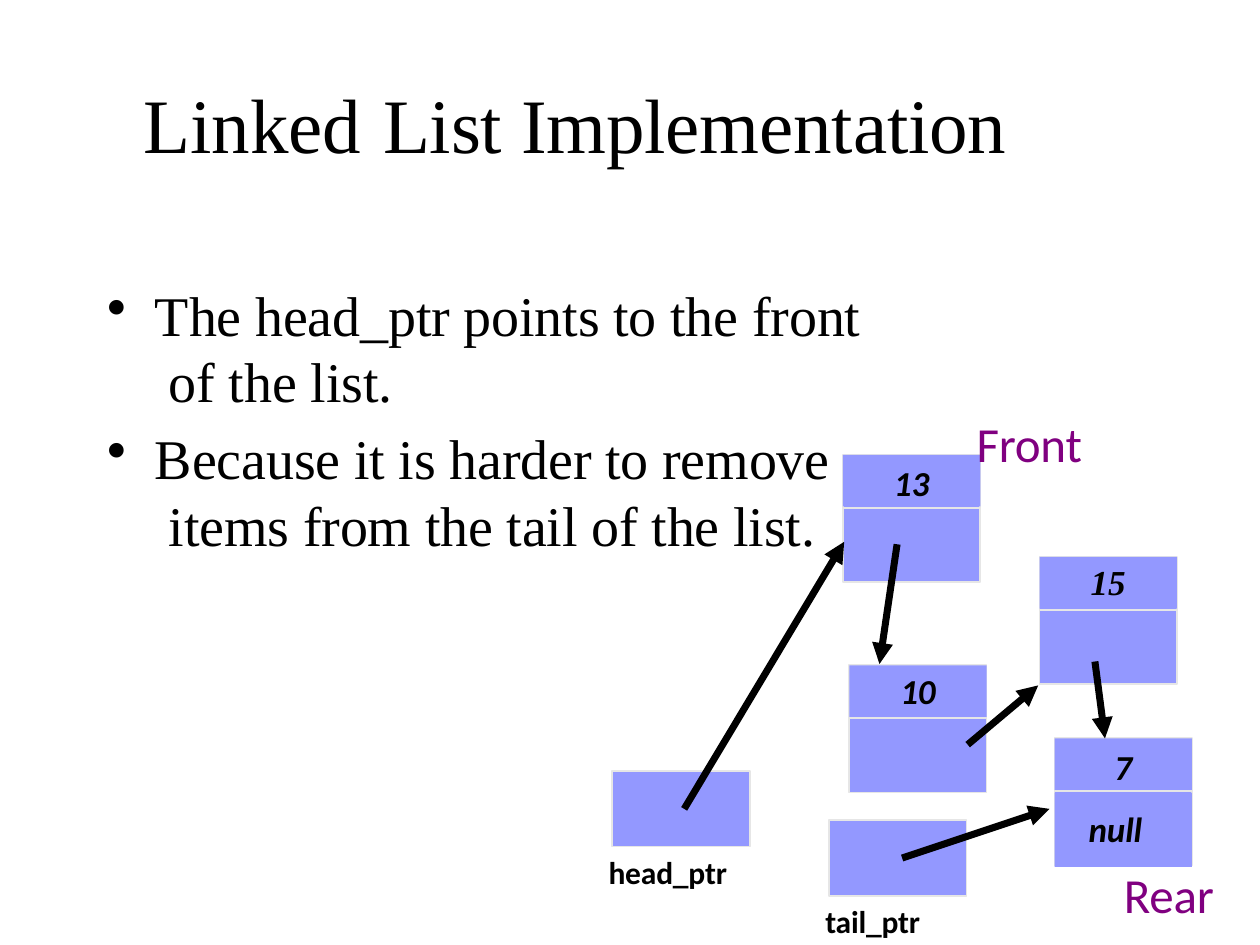
from dataclasses import dataclass

from lxml.etree import SubElement
from pptx import Presentation
from pptx.dml.color import RGBColor as RGB
from pptx.enum.shapes import MSO_CONNECTOR as Link, MSO_SHAPE as Form
from pptx.enum.text import MSO_ANCHOR as Anchor, PP_ALIGN as Align
from pptx.oxml.ns import qn
from pptx.util import Inches, Pt

COLS, ROWS = 100, 75
WIDE, TALL = Inches(10), Inches(7.5)
NODE_W, NODE_H, HEAD_H, CELL_H = 10.9, 10.1, 4.1, 5.9


@dataclass(frozen=True)
class Theme:
    """Colours, fonts and type sizes of the slide."""
    ink: RGB = RGB(0, 0, 0)
    box: RGB = RGB(0x93, 0x98, 0xFF)
    edge: RGB = RGB(0xE6, 0xE6, 0xE6)
    end: RGB = RGB(0x80, 0x00, 0x80)
    serif: str = "Times New Roman"
    sans: str = "Calibri"
    title: int = 44
    body: int = 32
    mark: int = 28
    value: int = 20
    name: int = 18


LOOK = Theme()


def col(n):
    """Return the length of n grid columns."""
    return round(WIDE * n / COLS)


def row(n):
    """Return the length of n grid rows."""
    return round(TALL * n / ROWS)


def area(x, y, w, h):
    """Return a grid area as lengths."""
    return col(x), row(y), col(w), row(h)


def frame(shape, pad=0.1, wrap=False):
    """Clear the margins of a shape and return its text frame."""
    tf = shape.text_frame
    tf.margin_left = tf.margin_right = tf.margin_bottom = 0
    tf.margin_top = row(pad)
    tf.vertical_anchor = Anchor.TOP
    tf.word_wrap = wrap
    return tf


def write(para, text, size, face, hue=LOOK.ink, bold=False, slant=False):
    """Add one formatted run to a paragraph."""
    run = para.add_run()
    run.text = text
    font = run.font
    font.size, font.name = Pt(size), face
    font.bold, font.italic = bold, slant
    font.color.rgb = hue
    run._r.get_or_add_rPr().set("spc", "-10")


def head(slide, text):
    """Place and fill the title, with a stop at each tab."""
    shape = slide.shapes.title
    shape.left, shape.top, shape.width, shape.height = area(11.4, 6, 68.8, 7.6)
    para = frame(shape).paragraphs[0]
    para.alignment = Align.LEFT
    stops = SubElement(para._p.get_or_add_pPr(), qn("a:tabLst"))
    SubElement(stops, qn("a:tab"), pos=str(col(19)), algn="l")
    write(para, text, LOOK.title, LOOK.serif)


def bullet(slide, place, lines, pad):
    """Add a bulleted paragraph broken into the given lines."""
    box = slide.shapes.add_textbox(*area(*place))
    para = frame(box, pad, True).paragraphs[0]
    props = para._p.get_or_add_pPr()
    props.set("marL", str(col(3.9)))
    props.set("indent", str(-col(3.8)))
    SubElement(props, qn("a:buChar"), char="•")
    para.line_spacing = Pt(38)
    for i, line in enumerate(lines):
        if i:
            para.add_line_break()
        write(para, line, LOOK.body, LOOK.serif)


def label(slide, place, text, size, hue=LOOK.ink, bold=False):
    """Add a one-line label."""
    box = slide.shapes.add_textbox(*area(*place))
    write(frame(box).paragraphs[0], text, size, LOOK.sans, hue, bold)


def block(slide, place, edged=True):
    """Add a filled rectangle, with or without an edge."""
    shape = slide.shapes.add_shape(Form.RECTANGLE, *area(*place))
    shape.shadow.inherit = False
    shape.fill.solid()
    shape.fill.fore_color.rgb = LOOK.box
    if edged:
        shape.line.color.rgb = LOOK.edge
        shape.line.width = Pt(1)
    else:
        shape.line.fill.background()
    return shape


def line(slide, start, stop, hue, width):
    """Add a straight line without a shadow."""
    ends = col(start[0]), row(start[1]), col(stop[0]), row(stop[1])
    wire = slide.shapes.add_connector(Link.STRAIGHT, *ends)
    SubElement(wire._element.spPr, qn("a:effectLst"))
    wire.line.color.rgb = hue
    wire.line.width = Pt(width)
    return wire


def arrow(slide, start, stop):
    """Add a pointer arrow."""
    wire = line(slide, start, stop, LOOK.ink, 4)
    SubElement(wire.line._get_or_add_ln(), qn("a:tailEnd"), type="triangle")


def node(slide, x, y, value, pad, face=LOOK.sans, link=None):
    """Add a list node with a value cell above a link cell."""
    block(slide, (x, y, NODE_W, NODE_H))
    top = block(slide, (x, y, NODE_W, HEAD_H), False)
    para = frame(top, pad).paragraphs[0]
    para.alignment = Align.CENTER
    write(para, value, LOOK.value, face, bold=True, slant=True)
    if link:
        cell = block(slide, (x, y + 4.3, NODE_W, CELL_H), False)
        tf = frame(cell, 1.2)
        tf.margin_left = col(2.7)
        tf.paragraphs[0].alignment = Align.LEFT
        write(tf.paragraphs[0], link, LOOK.value, LOOK.sans,
              bold=True, slant=True)
    rule = y + 4.2
    line(slide, (x, rule), (x + NODE_W, rule), LOOK.edge, 1)


def pointer(slide, x, y, name):
    """Add a pointer box with its name below."""
    block(slide, (x, y, NODE_W, 6))
    label(slide, (x - 0.3, y + 6.4, 9.8, 3.3), name, LOOK.name, bold=True)


def main():
    """Build and save the slide."""
    deck = Presentation()
    deck.slide_width, deck.slide_height = WIDE, TALL
    slide = deck.slides.add_slide(deck.slide_layouts[5])
    head(slide, "Linked\tList Implementation")
    bullet(slide, (8.4, 22, 60.4, 10.9),
           ["The head_ptr points to the front", " of the list."], 0.3)
    bullet(slide, (8.4, 33.6, 58, 10.9),
           ["Because it is harder to remove", " items from the tail of the list."],
           0.1)
    node(slide, 66.9, 36.1, "13", 0.5)
    node(slide, 67.4, 52.8, "10", 0.3)
    node(slide, 82.5, 44.2, "15", 0.3, LOOK.serif)
    node(slide, 83.7, 58.6, "7", 0.6, link="null")
    pointer(slide, 48.6, 61.2, "head_ptr")
    pointer(slide, 65.8, 65.1, "tail_ptr")
    for start, stop in [
        ((54.3, 64.2), (67, 43)),
        ((71.2, 43.2), (69.8, 52.7)),
        ((76.8, 59.1), (82.4, 54.4)),
        ((86.9, 52.5), (87.7, 58.6)),
        ((71.6, 68.1), (83.3, 64.2)),
    ]:
        arrow(slide, start, stop)
    label(slide, (77.5, 32.7, 8.8, 4.9), "Front", LOOK.mark, LOOK.end)
    label(slide, (89.2, 68.5, 7.5, 4.9), "Rear", LOOK.mark, LOOK.end)
    deck.save("out.pptx")


if __name__ == "__main__":
    main()
